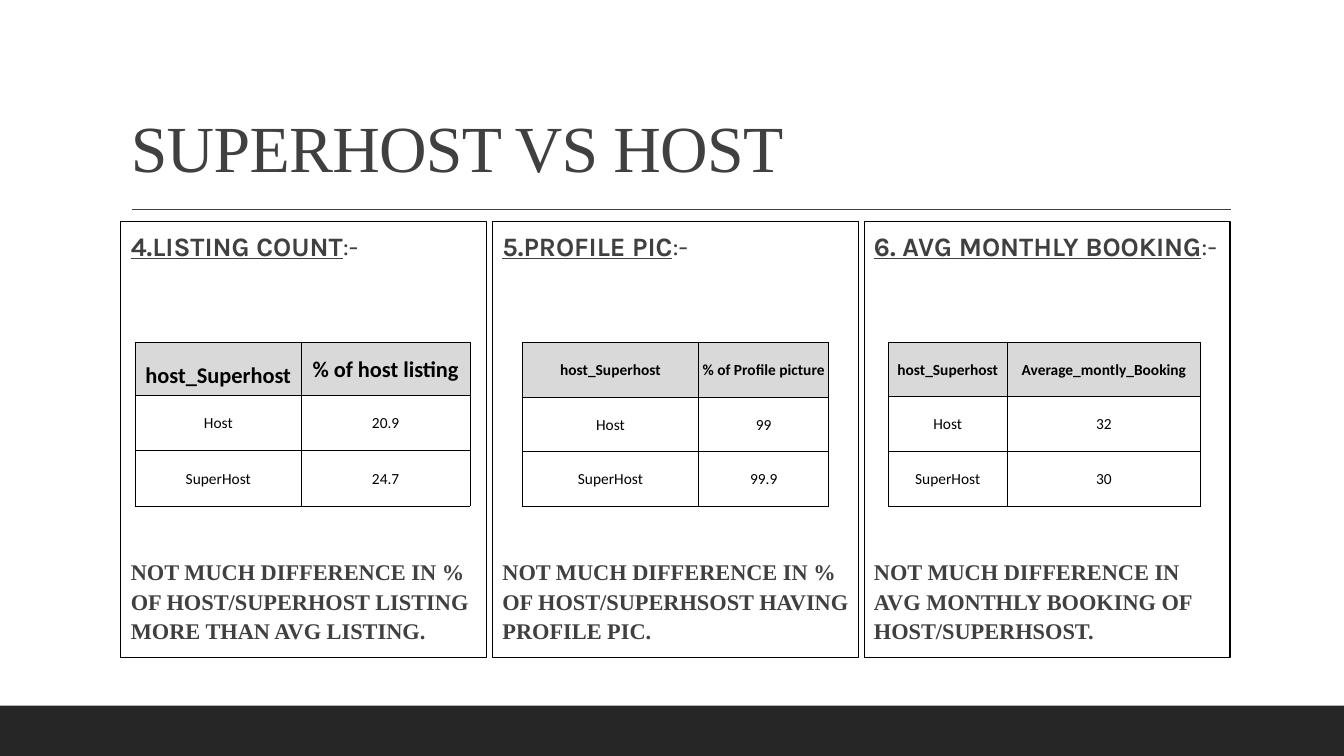
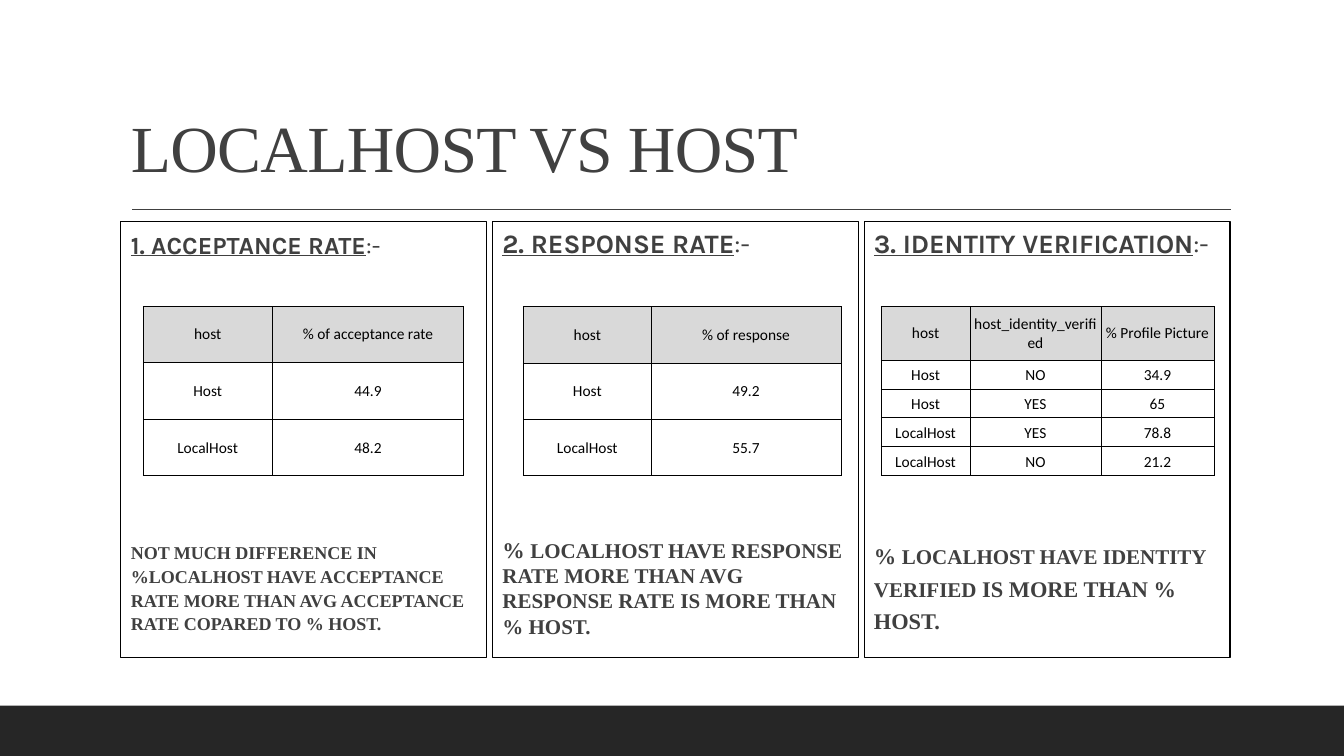
import pptx
import pptx.util
import pptx.dml.color
import pptx.enum.shapes
import pptx.enum.text
import pptx.oxml
import pptx.oxml.ns

Inches, Pt = pptx.util.Inches, pptx.util.Pt
ALIGN, ANCHOR = pptx.enum.text.PP_ALIGN, pptx.enum.text.MSO_ANCHOR
SHAPE, CONNECTOR = pptx.enum.shapes.MSO_SHAPE, pptx.enum.shapes.MSO_CONNECTOR

WIDTH, HEIGHT = 13.33, 7.5
BAND_HEIGHT = 0.5
INK, BAND, HEADER_FILL, BLACK = "404040", "262626", "D9D9D9", "000000"
SERIF, HEADING_FONT, TABLE_FONT = "Times New Roman", "Karla", "Calibri"

LEFT, CONTENT_WIDTH = 1.2, 11
PANEL_TOP, PANEL_WIDTH, PANEL_HEIGHT = 2.2, 3.63, 4.32
PANEL_STEP = (CONTENT_WIDTH - PANEL_WIDTH) / 2
INDENT = 0.1

# heading: text, size; finding: runs of (text, size); gap: points between them
# table: left, column widths, header height, rows
SLIDES = [
    {
        "title": "SUPERHOST VS HOST", "table_top": 3.4, "table_height": 1.62, "bold_header": True,
        "panels": [
            {"heading": ("4.LISTING COUNT", 19), "gap": 208, "spacing": (1.1, 1.1),
             "finding": [("NOT MUCH DIFFERENCE IN % OF HOST/SUPERHOST LISTING MORE THAN AVG LISTING.", 16)],
             "left": 1.34, "columns": (1.65, 1.67), "header": 0.52,
             "header_size": 16, "first_spacing": 1.5,
             "rows": [("host_Superhost", "% of host listing"), ("Host", "20.9"), ("SuperHost", "24.7")]},
            {"heading": ("5.PROFILE PIC", 19), "gap": 208, "spacing": (1.1, 1.1),
             "finding": [("NOT MUCH DIFFERENCE IN % OF HOST/SUPERHSOST HAVING PROFILE PIC.", 16)],
             "left": 5.18, "columns": (1.75, 1.29), "header": 0.54,
             "rows": [("host_Superhost", "% of Profile picture"), ("Host", "99"), ("SuperHost", "99.9")]},
            {"heading": ("6. AVG MONTHLY BOOKING", 19), "gap": 208, "spacing": (1.1, 1.1),
             "finding": [("NOT MUCH DIFFERENCE IN AVG MONTHLY BOOKING OF HOST/SUPERHSOST.", 16)],
             "left": 8.81, "columns": (1.18, 1.92), "header": 0.53,
             "rows": [("host_Superhost", "Average_montly_Booking"), ("Host", "32"), ("SuperHost", "30")]},
        ],
    },
    {
        "title": "LOCALHOST VS HOST", "table_top": 3.04, "table_height": 1.68, "bold_header": False,
        "panels": [
            {"heading": ("1. ACCEPTANCE RATE", 17.6), "gap": 198, "spacing": (1.1, 1.1),
             "finding": [("NOT MUCH DIFFERENCE IN %LOCALHOST HAVE ACCEPTANCE RATE MORE THAN AVG "
                          "ACCEPTANCE RATE COPARED TO % HOST.", 12.9)],
             "left": 1.42, "columns": (1.28, 1.9), "header": 0.55,
             "rows": [("host", "% of acceptance rate"), ("Host", "44.9"), ("LocalHost", "48.2")]},
            {"heading": ("2. RESPONSE RATE", 19), "gap": 196, "spacing": (1, 1),
             "finding": [("% ", 16), ("LOCALHOST HAVE RESPONSE RATE MORE THAN AVG RESPONSE RATE "
                                      "IS MORE THAN % HOST.", 15)],
             "left": 5.19, "columns": (1.27, 1.88), "header": 0.56,
             "rows": [("host", "% of response"), ("Host", "49.2"), ("LocalHost", "55.7")]},
            {"heading": ("3. IDENTITY VERIFICATION", 19), "gap": 197, "spacing": (1, 1.2),
             "finding": [("% ", 16), ("LOCALHOST HAVE IDENTITY VERIFIED", 15), (" IS MORE THAN % HOST.", 16)],
             "left": 8.74, "columns": (0.88, 1.3, 1.12), "header": 0.53,
             "rows": [("host", "host_identity_verified", "% Profile Picture"),
                      ("Host", "NO", "34.9"), ("Host", "YES", "65"),
                      ("LocalHost", "YES", "78.8"), ("LocalHost", "NO", "21.2")]},
        ],
    },
]


def rgb(value):
    return pptx.dml.color.RGBColor.from_string(value)


def add_run(paragraph, text, size, font, color=INK, bold=False, underline=False):
    run = paragraph.add_run()
    run.text = text
    run.font.size, run.font.name = Pt(size), font
    run.font.bold, run.font.underline = bold, underline
    run.font.color.rgb = rgb(color)
    return run


def add_frame(slide, title):
    """Draw what every slide shares: the bottom band, the rule and the title."""
    band = slide.shapes.add_shape(SHAPE.RECTANGLE, 0, Inches(HEIGHT - BAND_HEIGHT),
                                  Inches(WIDTH), Inches(BAND_HEIGHT))
    band.shadow.inherit = False
    band.fill.solid()
    band.fill.fore_color.rgb = rgb(BAND)
    band.line.fill.background()

    rule = slide.shapes.add_connector(CONNECTOR.STRAIGHT, Inches(1.31), Inches(2.08),
                                      Inches(12.21), Inches(2.08))
    rule.line.color.rgb, rule.line.width = rgb(INK), Pt(1)
    rule._element.spPr.append(pptx.oxml.parse_xml(
        f'<a:effectLst {pptx.oxml.ns.nsdecls("a")}/>'))

    heading = slide.shapes.add_textbox(Inches(LEFT), Inches(0.31), Inches(CONTENT_WIDTH), Inches(1.59))
    frame = heading.text_frame
    frame.word_wrap, frame.vertical_anchor = True, ANCHOR.BOTTOM
    frame.paragraphs[0].line_spacing = 0.9
    run = add_run(frame.paragraphs[0], title, 47, SERIF)
    run.font._element.set("spc", "-50")


def add_panel(slide, column, panel):
    box = slide.shapes.add_shape(SHAPE.RECTANGLE, Inches(LEFT + column * PANEL_STEP), Inches(PANEL_TOP),
                                 Inches(PANEL_WIDTH), Inches(PANEL_HEIGHT))
    box.shadow.inherit = False
    box.fill.background()
    box.line.color.rgb, box.line.width = rgb(BLACK), Pt(0.75)
    frame = box.text_frame
    frame.word_wrap, frame.vertical_anchor = True, ANCHOR.TOP
    frame.margin_left, frame.margin_right = Inches(INDENT), 0

    heading, finding = frame.paragraphs[0], frame.add_paragraph()
    for paragraph, spacing in zip((heading, finding), panel["spacing"]):
        paragraph.alignment, paragraph.line_spacing = ALIGN.LEFT, spacing
        paragraph.space_after = Pt(2)
    finding.space_before = Pt(panel["gap"])

    text, size = panel["heading"]
    add_run(heading, text, size, HEADING_FONT, bold=True, underline=True)
    add_run(heading, ":-", size, HEADING_FONT)
    for text, size in panel["finding"]:
        add_run(finding, text, size, SERIF, bold=True)


def add_borders(cell):
    for side in ("lnL", "lnR", "lnT", "lnB"):
        cell._tc.get_or_add_tcPr().append(pptx.oxml.parse_xml(
            f'<a:{side} {pptx.oxml.ns.nsdecls("a")} w="{Pt(0.5)}"><a:solidFill>'
            f'<a:srgbClr val="{BLACK}"/></a:solidFill></a:{side}>'))


def add_data_table(slide, panel, top, height, bold_header):
    rows, columns = panel["rows"], panel["columns"]
    table = slide.shapes.add_table(len(rows), len(columns), Inches(panel["left"]), Inches(top),
                                   Inches(sum(columns)), Inches(height)).table
    table.first_row = table.horz_banding = False
    for column, width in zip(table.columns, columns):
        column.width = Inches(width)
    body_height = (height - panel["header"]) / (len(rows) - 1)
    for r, values in enumerate(rows):
        is_header = r == 0
        table.rows[r].height = Inches(panel["header"] if is_header else body_height)
        for c, value in enumerate(values):
            cell = table.cell(r, c)
            cell.vertical_anchor = ANCHOR.MIDDLE
            cell.margin_left = cell.margin_right = cell.margin_top = Inches(0.01)
            cell.margin_bottom = 0
            add_borders(cell)
            if is_header:
                cell.fill.solid()
                cell.fill.fore_color.rgb = rgb(HEADER_FILL)
            else:
                cell.fill.background()
            paragraph = cell.text_frame.paragraphs[0]
            paragraph.alignment = ALIGN.CENTER
            if is_header and c == 0:
                paragraph.line_spacing = panel.get("first_spacing", 1)
            size = panel.get("header_size", 11) if is_header else 11
            add_run(paragraph, value, size, TABLE_FONT, BLACK, bold=is_header and bold_header)


def main():
    deck = pptx.Presentation()
    deck.slide_width, deck.slide_height = Inches(WIDTH), Inches(HEIGHT)
    for content in SLIDES:
        slide = deck.slides.add_slide(deck.slide_layouts[6])
        add_frame(slide, content["title"])
        for column, panel in enumerate(content["panels"]):
            add_panel(slide, column, panel)
            add_data_table(slide, panel, content["table_top"], content["table_height"],
                           content["bold_header"])
    deck.save("out.pptx")


if __name__ == "__main__":
    main()
